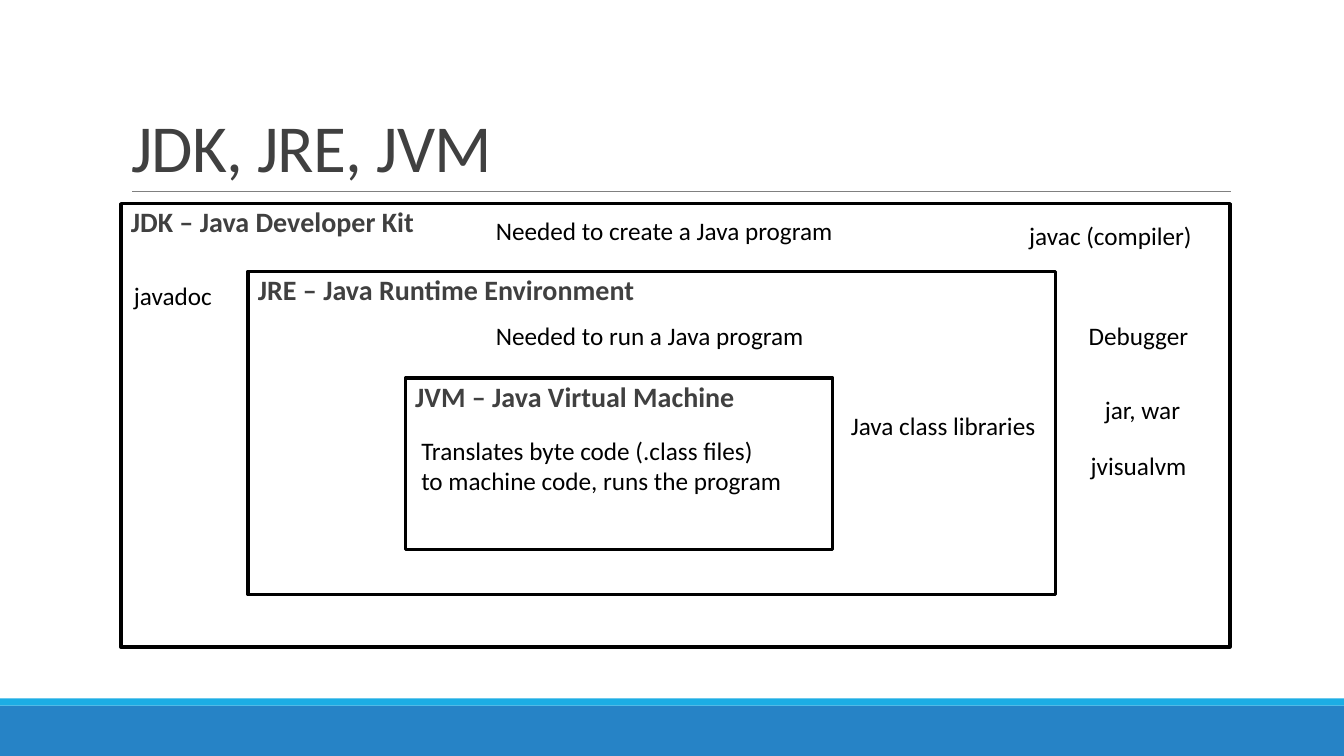
from pptx import Presentation
from pptx.dml.color import RGBColor
from pptx.enum.shapes import MSO_CONNECTOR, MSO_SHAPE
from pptx.enum.text import MSO_ANCHOR, MSO_AUTO_SIZE, PP_ALIGN
from pptx.oxml.ns import qn
from pptx.util import Inches, Pt
from lxml import etree

FONT = "Calibri"
COLORS = {
    "band": "2683C6",
    "stripe": "1CADE4",
    "rule": "808080",
    "heading": "404040",
    "text": "000000",
    "frame": "000000",
}

# Nested platform layers, outermost first: heading, left, top, width, height
LAYERS = [
    ("JDK – Java Developer Kit", 1.2, 2.02, 11, 4.4),
    ("JRE – Java Runtime Environment", 2.46, 2.69, 8.01, 3.21),
    ("JVM – Java Virtual Machine", 4.02, 3.75, 4.24, 1.7),
]

# Tools and remarks: lines, left, top, width
LABELS = [
    (["javac (compiler)"], 10.11, 2.14, 1.83),
    (["Debugger"], 10.7, 3.13, 1.2),
    (["Java class libraries"], 8.34, 4.02, 2.06),
    (["Translates byte code (.class files) ",
      "to machine code, runs the program"], 4.08, 4.27, 3.82),
    (["javadoc"], 1.23, 2.73, 0.98),
    (["jar, war"], 10.86, 3.86, 0.96),
    (["jvisualvm"], 10.72, 4.42, 1.16),
    (["Needed to run a Java program"], 4.82, 3.13, 3.29),
    (["Needed to create a Java program"], 4.82, 2.09, 3.58),
]


def color(name):
    """Return the named colour."""
    return RGBColor.from_string(COLORS[name])


def add_run(paragraph, text, size, ink, bold=False):
    """Append a formatted run to a paragraph."""
    run = paragraph.add_run()
    run.text = text
    run.font.name = FONT
    run.font.size = Pt(size)
    run.font.bold = bold
    run.font.color.rgb = color(ink)
    return run


def add_rectangle(slide, left, top, width, height):
    """Add a rectangle without a shadow."""
    rectangle = slide.shapes.add_shape(
        MSO_SHAPE.RECTANGLE, Inches(left), Inches(top), Inches(width), Inches(height))
    rectangle.shadow.inherit = False
    return rectangle


def add_band(slide, top, height, fill):
    """Add a full-width colour band."""
    band = add_rectangle(slide, 0, top, 13.33, height)
    band.fill.solid()
    band.fill.fore_color.rgb = color(fill)
    band.line.fill.background()


def add_rule(slide, left, right, y):
    """Add the thin line under the title."""
    rule = slide.shapes.add_connector(
        MSO_CONNECTOR.STRAIGHT, Inches(left), Inches(y), Inches(right), Inches(y))
    rule.line.color.rgb = color("rule")
    rule.line.width = Pt(0.5)
    etree.SubElement(rule._element.spPr, qn("a:effectLst"))


def set_title(slide, text):
    """Place and fill the title placeholder."""
    title = slide.shapes.title
    title.left, title.top = Inches(1.2), Inches(0.31)
    title.width, title.height = Inches(11), Inches(1.59)
    frame = title.text_frame
    frame.auto_size = MSO_AUTO_SIZE.NONE
    frame.vertical_anchor = MSO_ANCHOR.BOTTOM
    paragraph = frame.paragraphs[0]
    paragraph.alignment = PP_ALIGN.LEFT
    paragraph.line_spacing = 0.85
    run = add_run(paragraph, text, 48, "heading")
    run.font._element.set("spc", "-50")


def add_layer(slide, heading, left, top, width, height):
    """Add an outlined layer with its heading at the top left."""
    layer = add_rectangle(slide, left, top, width, height)
    layer.fill.background()
    layer.line.color.rgb = color("frame")
    layer.line.width = Pt(2.25)
    frame = layer.text_frame
    frame.word_wrap = True
    frame.vertical_anchor = MSO_ANCHOR.TOP
    frame.margin_left, frame.margin_right = Inches(0.1), 0
    paragraph = frame.paragraphs[0]
    paragraph.alignment = PP_ALIGN.LEFT
    paragraph.line_spacing = 0.9
    paragraph.space_before, paragraph.space_after = Pt(12), Pt(2)
    add_run(paragraph, heading, 20, "heading", bold=True)


def add_label(slide, lines, left, top, width):
    """Add a text label with one paragraph per line."""
    height = 0.1 + 0.3 * len(lines)
    label = slide.shapes.add_textbox(
        Inches(left), Inches(top), Inches(width), Inches(height))
    frame = label.text_frame
    frame.word_wrap = False
    frame.auto_size = MSO_AUTO_SIZE.SHAPE_TO_FIT_TEXT
    for index, line in enumerate(lines):
        paragraph = frame.add_paragraph() if index else frame.paragraphs[0]
        add_run(paragraph, line, 18, "text")


def main():
    """Build the slide and save it."""
    deck = Presentation()
    deck.slide_width, deck.slide_height = Inches(13.33), Inches(7.5)
    slide = deck.slides.add_slide(deck.slide_layouts[5])
    add_band(slide, 7, 0.5, "band")
    add_band(slide, 6.93, 0.07, "stripe")
    add_rule(slide, 1.31, 12.21, 1.9)
    set_title(slide, "JDK, JRE, JVM")
    for layer in LAYERS:
        add_layer(slide, *layer)
    for label in LABELS:
        add_label(slide, *label)
    deck.save("out.pptx")


main()
